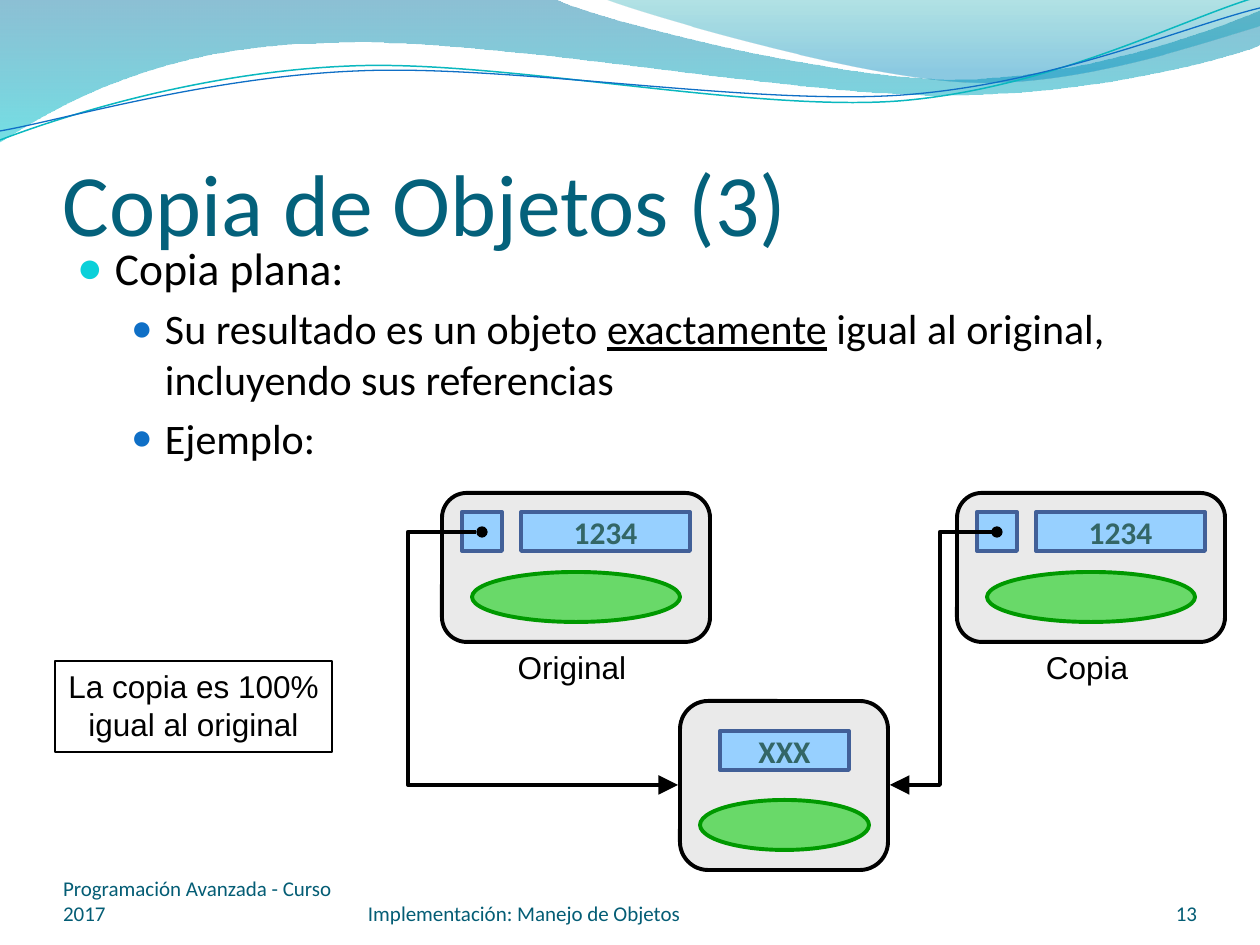
from lxml import etree
from pptx import Presentation
from pptx.dml.color import RGBColor
from pptx.enum.shapes import MSO_CONNECTOR, MSO_SHAPE
from pptx.enum.text import MSO_ANCHOR, PP_ALIGN
from pptx.oxml.ns import qn
from pptx.util import Pt

RECT = MSO_SHAPE.RECTANGLE
ROUND = MSO_SHAPE.ROUNDED_RECTANGLE
OVAL = MSO_SHAPE.OVAL
ELBOW = MSO_CONNECTOR.ELBOW
LEFT, CENTER, RIGHT = PP_ALIGN.LEFT, PP_ALIGN.CENTER, PP_ALIGN.RIGHT
TOP, MIDDLE, BOTTOM = MSO_ANCHOR.TOP, MSO_ANCHOR.MIDDLE, MSO_ANCHOR.BOTTOM
SCALE = 914400 / 126


class Theme:
    heading_font, label_font = "Calibri", "Arial"
    title_size, topic_size, detail_size, label_size, footer_size = 50, 26, 24, 18, 12
    title, footer, text, value = "04617B", "045D75", "000000", "336666"
    card, field, field_line = "EAEAEA", "97D0FF", "426098"
    oval, oval_line = "69D969", "009900"
    topic_bullet, detail_bullet = "0BD0D9", "0F6FC6"
    teal_line, blue_line = "0AB8BF", "0F6FC6"
    wide_wave = (("0074A1", 45, 0), ("00C6CF", 55, 1))
    right_wave = (("00A1A9", 30, 0), ("008BBF", 45, 0.8))
    stroke = 2.25


def emu(pixels):
    return round(pixels * SCALE)


def write(para, text, size, color=Theme.text, font=Theme.heading_font,
          bold=False, underline=False):
    span = para.add_run()
    span.text = text
    span.font.name = font
    span.font.size = Pt(size)
    span.font.bold = bold
    span.font.underline = underline
    span.font.color.rgb = RGBColor.from_string(color)


def bend_segments(shape, steps):
    segments = iter(list(shape._element.iter(qn("a:lnTo"))))
    for step in steps:
        first = next(segments)
        if len(step) == 6:
            first.tag = qn("a:cubicBezTo")
            for _ in range(2):
                other = next(segments)
                first.append(other[0])
                other.getparent().remove(other)


class SlideBuilder:
    def __init__(self, page, theme):
        self.page, self.theme = page, theme

    def paint(self, shape, fill=None, line=None, width=Theme.stroke):
        shape.shadow.inherit = False
        if fill:
            shape.fill.solid()
            shape.fill.fore_color.rgb = RGBColor.from_string(fill)
        else:
            shape.fill.background()
        if line:
            shape.line.color.rgb = RGBColor.from_string(line)
            shape.line.width = Pt(width)
        else:
            shape.line.fill.background()

    def frame(self, box, anchor=TOP, wrap=True, insets=(13, 6, 13, 6)):
        frame = box.text_frame
        frame.word_wrap = wrap
        frame.vertical_anchor = anchor
        (frame.margin_left, frame.margin_top,
         frame.margin_right, frame.margin_bottom) = map(emu, insets)
        return frame

    def shape(self, kind, x, y, w, h, fill=None, line=None, width=Theme.stroke):
        shape = self.page.shapes.add_shape(kind, *map(emu, (x, y, w, h)))
        self.paint(shape, fill, line, width)
        return shape

    def text(self, x, y, w, h, text, size, align=LEFT, anchor=TOP, wrap=True,
             insets=(0, 6, 0, 6), **style):
        box = self.page.shapes.add_textbox(*map(emu, (x, y, w, h)))
        para = self.frame(box, anchor, wrap, insets).paragraphs[0]
        para.alignment = align
        write(para, text, size, **style)

    def wave(self, start, steps, stops=None, line=None, width=1):
        points = [(emu(step[index]), emu(step[index + 1]))
                  for step in steps for index in range(0, len(step), 2)]
        builder = self.page.shapes.build_freeform(*map(emu, start), scale=1.0)
        builder.add_line_segments(points, close=bool(stops))
        shape = builder.convert_to_shape()
        bend_segments(shape, steps)
        self.paint(shape, line=line, width=width)
        if not stops:
            return
        shape.fill.gradient()
        shape.fill.gradient_angle = 270
        for stop, (color, _, position) in zip(shape.fill.gradient_stops, stops):
            stop.color.rgb = RGBColor.from_string(color)
            stop.position = position
        for node, (_, opacity, _) in zip(shape._element.iter(qn("a:gs")), stops):
            etree.SubElement(node[0], qn("a:alpha"), val=str(opacity * 1000))

    def bullets(self, x, y, w, h, items):
        theme = self.theme
        levels = (
            (38, 38, theme.topic_bullet, 95, theme.topic_size),
            (88, 34, theme.detail_bullet, 85, theme.detail_size),
        )
        box = self.page.shapes.add_textbox(*map(emu, (x, y, w, h)))
        frame = self.frame(box)
        for index, (level, spans) in enumerate(items):
            para = frame.add_paragraph() if index else frame.paragraphs[0]
            margin, hang, color, percent, size = levels[level]
            para.level = level
            para.space_before = Pt(size * 0.2)
            props = para._p.get_or_add_pPr()
            props.set("marL", str(emu(margin)))
            props.set("indent", str(-emu(hang)))
            tint = etree.SubElement(props, qn("a:buClr"))
            etree.SubElement(tint, qn("a:srgbClr"), val=color)
            etree.SubElement(props, qn("a:buSzPct"), val=str(percent * 1000))
            etree.SubElement(props, qn("a:buFont"), typeface=theme.label_font)
            etree.SubElement(props, qn("a:buChar"), char="●")
            for text, underline in spans:
                write(para, text, size, underline=underline)

    def field(self, x, y, w, text=None):
        theme = self.theme
        box = self.shape(RECT, x, y, w, 39, theme.field, theme.field_line)
        if text:
            para = self.frame(box, MIDDLE, False).paragraphs[0]
            para.alignment = CENTER
            write(para, text, theme.label_size, theme.value, bold=True)

    def card(self, x, y, w, h):
        self.shape(ROUND, x, y, w, h, self.theme.card, self.theme.text)

    def oval(self, x, y, w):
        self.shape(OVAL, x, y, w, 50, self.theme.oval, self.theme.oval_line)

    def object_card(self, x, y, label):
        theme = self.theme
        self.card(x, y, 268, 149)
        self.field(x + 20, y + 19, 40)
        self.field(x + 79, y + 19, 169, "1234")
        self.oval(x + 30, y + 79, 208)
        self.text(x + 63, y + 149, 134, 50, label, theme.label_size, CENTER,
                  wrap=False, font=theme.label_font)
        self.shape(OVAL, x + 35, y + 34, 10, 10, theme.text, theme.text, 0.75)

    def reference(self, start, end, bend):
        link = self.page.shapes.add_connector(ELBOW, *map(emu, (*start, *end)))
        link.line.color.rgb = RGBColor.from_string(self.theme.text)
        link.line.width = Pt(self.theme.stroke)
        props = link._element.spPr
        ratio = (bend - start[0]) / (end[0] - start[0])
        guides = props.find(qn("a:prstGeom")).find(qn("a:avLst"))
        etree.SubElement(guides, qn("a:gd"), name="adj1",
                         fmla=f"val {round(ratio * 100000)}")
        etree.SubElement(props.find(qn("a:ln")), qn("a:tailEnd"),
                         type="triangle", w="lg", len="lg")
        etree.SubElement(props, qn("a:effectLst"))

    def note(self, x, y, w, h, lines):
        theme = self.theme
        frame = self.frame(self.shape(RECT, x, y, w, h, line=theme.text, width=1),
                           wrap=False)
        for index, text in enumerate(lines):
            para = frame.add_paragraph() if index else frame.paragraphs[0]
            para.alignment = CENTER
            write(para, text, theme.label_size, font=theme.label_font)


deck = Presentation()
deck.slide_width, deck.slide_height = emu(1260), emu(945)
slide = SlideBuilder(deck.slides.add_slide(deck.slide_layouts[6]), Theme)

slide.wave((0, 0), [(554, -1), (600, 21, 837, 79, 955, 79), (1075, 79, 1207, 33, 1260, 11),
                    (1261, 45), (1239, 55, 1096, 96, 940, 95), (784, 95, 481, 35, 324, 43),
                    (163, 45, 58, 105, -1, 142)], Theme.wide_wave)
slide.wave((604, -1), [(641, 14, 859, 78, 969, 82), (1079, 87, 1211, 40, 1260, 26),
                       (1260, 0)], Theme.right_wave)
slide.wave((0, 140), [(60, 117, 199, 72, 349, 66), (498, 59, 747, 112, 898, 101),
                      (1050, 89, 1182, 19, 1257, -3)], line=Theme.teal_line, width=0.85)
slide.wave((0, 131), [(59, 121, 207, 77, 357, 71), (508, 64, 752, 106, 903, 95),
                      (1053, 84, 1186, 26, 1260, 8)], line=Theme.blue_line, width=0.75)

slide.text(63, 97, 1134, 157, "Copia de Objetos (3)", Theme.title_size, anchor=BOTTOM,
           insets=(0, 6, 0, 0), color=Theme.title)
slide.bullets(64, 234, 1101, 567, [
    (0, [("Copia plana:", False)]),
    (1, [("Su resultado es un objeto ", False), ("exactamente", True),
         (" igual al original, incluyendo sus referencias", False)]),
    (1, [("Ejemplo:", False)]),
])

for left, label in ((442, "Original"), (957, "Copia")):
    slide.object_card(left, 493, label)
slide.card(680, 701, 208, 169)
slide.field(720, 731, 129, "XXX")
slide.oval(700, 800, 169)
slide.reference((476, 532), (678, 785), 408)
slide.reference((993, 532), (890, 785), 940)
slide.note(55, 661, 277, 91, ("La copia es 100%", "igual al original"))

for left, width, text, align in (
    (63, 294, "Programación Avanzada - Curso 2017", LEFT),
    (368, 462, "Implementación: Manejo de Objetos", LEFT),
    (1092, 105, "13", RIGHT),
):
    slide.text(left, 876, width, 50, text, Theme.footer_size, align, BOTTOM,
               insets=(0, 0, 0, 0), color=Theme.footer)

deck.save("out.pptx")
